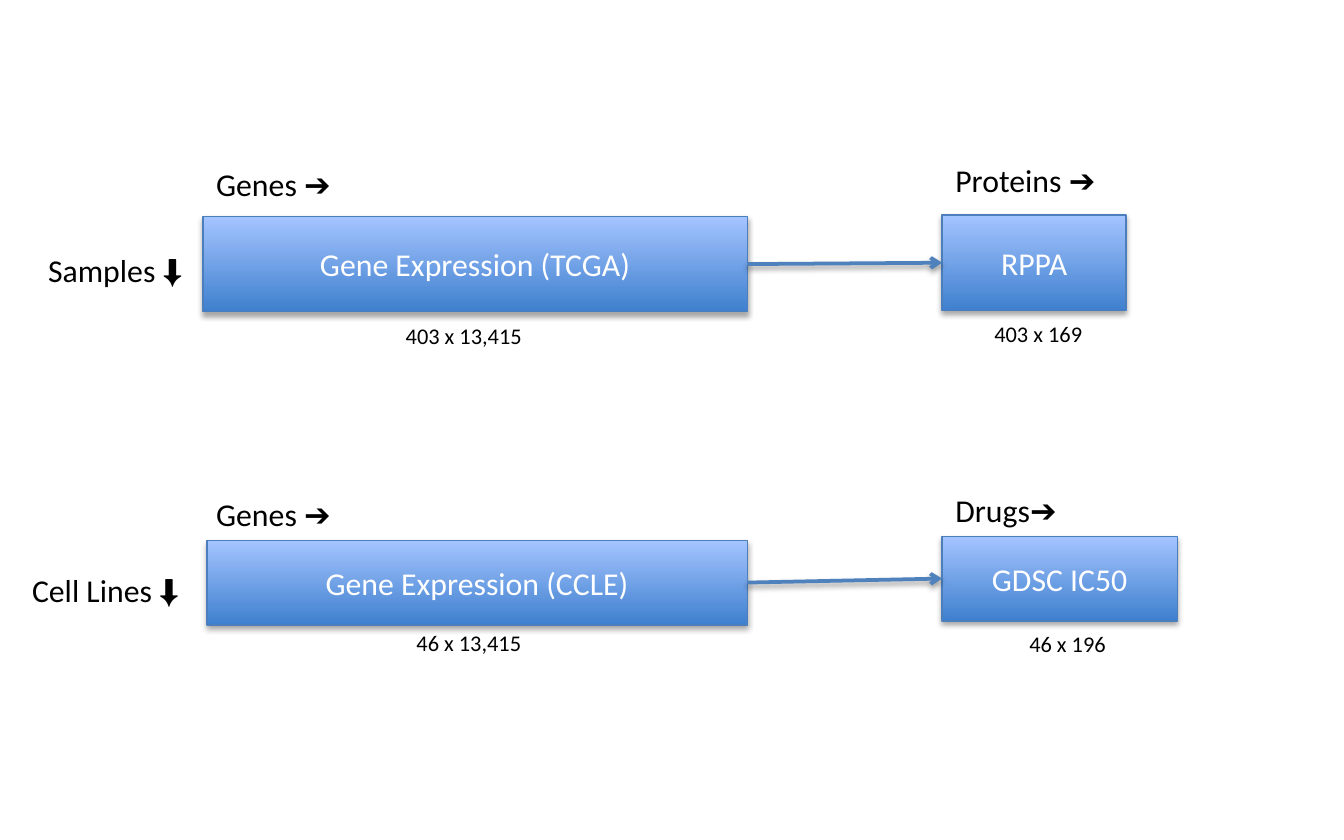
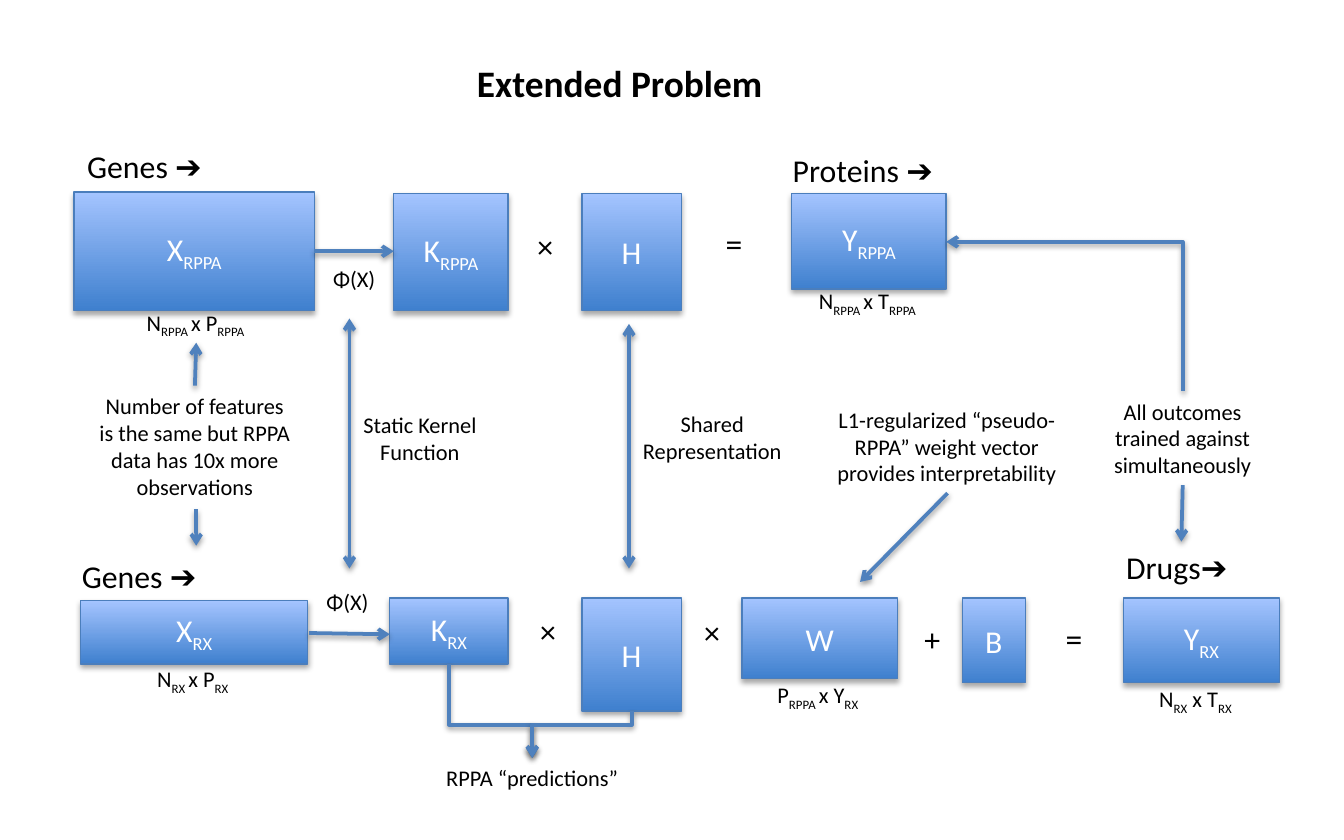
from itertools import groupby

from lxml import etree
from pptx import Presentation
from pptx.dml.color import RGBColor
from pptx.enum.shapes import MSO_CONNECTOR, MSO_SHAPE
from pptx.enum.text import MSO_ANCHOR, MSO_AUTO_SIZE, PP_ALIGN
from pptx.oxml.ns import qn
from pptx.util import Inches, Pt

BLACK = RGBColor(0x00, 0x00, 0x00)
WHITE = RGBColor(0xFF, 0xFF, 0xFF)
BOX_DARK = RGBColor(0x3F, 0x80, 0xCE)
BOX_LIGHT = RGBColor(0xA4, 0xC4, 0xFF)
BOX_LINE = RGBColor(0x4B, 0x7E, 0xBC)
ARROW_BLUE = RGBColor(0x4F, 0x81, 0xBD)
BODY_FONT, SYMBOL_FONT = "Calibri", "Arial"
SYMBOLS = "\u2794\u2b07"
BODY, CAPTION = 17, 12
LABEL_HEIGHT, CAPTION_HEIGHT = 0.39, 0.3


def offset(region, x, y, width=0, height=0):
    """Return a box measured from the top left corner of a region."""
    return region[0] + x, region[1] + y, width, height


def write_text(frame, text, size=BODY, color=BLACK, bold=False,
               align=PP_ALIGN.LEFT, anchor=MSO_ANCHOR.TOP, wrap=False):
    """Write one paragraph, with subscripts between tildes."""
    frame.word_wrap = wrap
    frame.vertical_anchor = anchor
    paragraph = frame.paragraphs[0]
    paragraph.alignment = align
    for index, part in enumerate(text.split("~")):
        for is_symbol, letters in groupby(part, lambda letter: letter in SYMBOLS):
            run = paragraph.add_run()
            run.text = "".join(letters)
            run.font.size = Pt(size)
            run.font.bold = bold
            run.font.color.rgb = color
            run.font.name = SYMBOL_FONT if is_symbol else BODY_FONT
            if index % 2:
                run.font._element.set("baseline", "-25000")


def add_label(slide, box, text, **text_format):
    """Add a text box that grows with its text."""
    label = slide.shapes.add_textbox(*map(Inches, box))
    write_text(label.text_frame, text, **text_format)
    label.text_frame.auto_size = MSO_AUTO_SIZE.SHAPE_TO_FIT_TEXT


def add_note(slide, box, text):
    """Add a centred, wrapped remark."""
    add_label(slide, box, text, size=CAPTION, align=PP_ALIGN.CENTER, wrap=True)


def add_shadow(shape, distance, opacity):
    """Give a shape a soft shadow below it."""
    properties = shape._element.spPr
    effects = properties.find(qn("a:effectLst"))
    if effects is None:
        effects = etree.SubElement(properties, qn("a:effectLst"))
    shadow = etree.SubElement(
        effects, qn("a:outerShdw"), blurRad=str(Pt(3.1)), dist=str(Pt(distance)),
        dir="5400000", rotWithShape="0")
    color = etree.SubElement(shadow, qn("a:srgbClr"), val=str(BLACK))
    etree.SubElement(color, qn("a:alpha"), val=str(opacity * 1000))


def add_matrix(slide, box, name, heading=None, caption=None,
               caption_align=PP_ALIGN.CENTER):
    """Draw a matrix; heading and caption are (text, x, y, width) from its corner."""
    matrix = slide.shapes.add_shape(MSO_SHAPE.RECTANGLE, *map(Inches, box))
    matrix.fill.gradient()
    matrix.fill.gradient_angle = 90
    for stop, color in zip(matrix.fill.gradient_stops, (BOX_DARK, BOX_LIGHT)):
        stop.color.rgb = color
    matrix.line.color.rgb = BOX_LINE
    matrix.line.width = Pt(0.75)
    matrix.shadow.inherit = False
    add_shadow(matrix, 1.8, 35)
    write_text(matrix.text_frame, name, color=WHITE, align=PP_ALIGN.CENTER,
               anchor=MSO_ANCHOR.MIDDLE, wrap=True)
    if heading:
        text, x, y, width = heading
        add_label(slide, offset(box, x, y, width, LABEL_HEIGHT), text)
    if caption:
        text, x, y, width = caption
        add_label(slide, offset(box, x, y, width, CAPTION_HEIGHT), text,
                  size=CAPTION, align=caption_align,
                  wrap=caption_align == PP_ALIGN.CENTER)


def style_arrow(arrow, both_ends=False):
    """Give a connector its line, arrowheads and shadow."""
    arrow.line.color.rgb = ARROW_BLUE
    arrow.line.width = Pt(2)
    line = arrow.line._get_or_add_ln()
    if both_ends:
        etree.SubElement(line, qn("a:headEnd"), type="arrow")
    etree.SubElement(line, qn("a:tailEnd"), type="arrow")
    add_shadow(arrow, 1.6, 38)


def add_arrow(slide, start, end, both_ends=False):
    """Draw a straight arrow between two points."""
    arrow = slide.shapes.add_connector(
        MSO_CONNECTOR.STRAIGHT, *map(Inches, (*start[:2], *end[:2])))
    style_arrow(arrow, both_ends)


def add_bent_arrow(slide, start, end, bend=None):
    """Draw an elbow that leaves vertically, with one corner or a bend ratio."""
    (x1, y1), (x2, y2) = start[:2], end[:2]
    down, right = y2 > y1, x2 > x1
    flip_x, flip_y = down and right, not down and not right
    half_width, half_height = abs(y2 - y1) / 2, abs(x2 - x1) / 2
    center_x, center_y = (x1 + x2) / 2, (y1 + y2) / 2
    xs = (center_x - half_width, center_x + half_width)
    ys = (center_y - half_height, center_y + half_height)
    arrow = slide.shapes.add_connector(
        MSO_CONNECTOR.ELBOW, *map(Inches, (xs[flip_x], ys[flip_y],
                                           xs[not flip_x], ys[not flip_y])))
    properties = arrow._element.spPr
    turn = 90 if down and not right else 270
    properties.find(qn("a:xfrm")).set("rot", str(turn * 60000))
    geometry = properties.find(qn("a:prstGeom"))
    if bend is None:
        geometry.set("prst", "bentConnector2")
    else:
        guides = geometry.find(qn("a:avLst"))
        if guides is None:
            guides = etree.SubElement(geometry, qn("a:avLst"))
        etree.SubElement(guides, qn("a:gd"), name="adj1",
                         fmla=f"val {round(bend * 100000)}")
    style_arrow(arrow)


def draw_data_pair(slide, source_box, source, target_box, target, rows):
    """Draw an input matrix, its output matrix and the arrow between them."""
    for box, parts in ((source_box, source), (target_box, target)):
        add_matrix(slide, box, *parts, caption_align=PP_ALIGN.LEFT)
    text, x, y, width = rows
    add_label(slide, offset(source_box, x, y, width, LABEL_HEIGHT), text)
    left, top, width, height = source_box
    add_arrow(slide, (left + width, top + height / 2),
              (target_box[0], target_box[1] + target_box[3] / 2))


def draw_operators(slide, region, operators):
    """Write the signs between the matrices of an equation."""
    for sign, x, y in operators:
        add_label(slide, offset(region, x, y, 0.32, LABEL_HEIGHT), sign,
                  size=18 if sign == "=" else BODY)


def draw_protein_equation(slide, region):
    """Draw the upper equation, which yields the proteins."""
    add_matrix(slide, offset(region, 0, 0, 1.79, 0.88), "X~RPPA~",
               ("Genes ➔", 0, -0.39, 1.12),
               ("N~RPPA ~x P~RPPA~", 0.25, 0.82, 1.31))
    add_matrix(slide, offset(region, 2.38, 0.01, 0.85, 0.87), "K~RPPA~")
    add_matrix(slide, offset(region, 3.78, 0.01, 0.74, 0.87), "H")
    add_matrix(slide, offset(region, 5.34, 0.01, 1.15, 0.71), "Y~RPPA~",
               ("Proteins ➔", -0.09, -0.37, 1.31),
               ("N~RPPA ~x T~RPPA~", -0.09, 0.65, 1.31))
    add_arrow(slide, offset(region, 1.79, 0.44), offset(region, 2.38, 0.44))
    add_label(slide, offset(region, 1.83, 0.49, 0.52, CAPTION_HEIGHT), "Φ(X)",
              size=CAPTION)
    draw_operators(slide, region, [("×", 3.35, 0.21), ("=", 4.75, 0.18)])


def draw_drug_equation(slide, region):
    """Draw the lower equation, which yields the drugs."""
    add_matrix(slide, offset(region, 0, 0.02, 1.69, 0.47), "X~RX~",
               ("Genes ➔", -0.09, -0.38, 1.12),
               ("N~RX ~x P~RX~", 0.18, 0.43, 1.31))
    add_matrix(slide, offset(region, 2.3, 0, 0.88, 0.49), "K~RX~")
    add_matrix(slide, offset(region, 3.73, 0, 0.74, 0.84), "H")
    add_matrix(slide, offset(region, 4.92, 0, 1.16, 0.6), "W",
               caption=("P~RPPA ~x Y~RX~", -0.09, 0.57, 1.31))
    add_matrix(slide, offset(region, 6.56, 0, 0.47, 0.63), "B")
    add_matrix(slide, offset(region, 7.76, 0, 1.16, 0.63), "Y~RX~",
               ("Drugs➔", -0.08, -0.42, 1.02),
               ("N~RX~ x T~RX~", -0.12, 0.6, 1.31))
    add_arrow(slide, offset(region, 1.7, 0.26), offset(region, 2.3, 0.27))
    add_label(slide, offset(region, 1.73, -0.12, 0.52, CAPTION_HEIGHT), "Φ(X)",
              size=CAPTION)
    draw_operators(slide, region, [("×", 3.32, 0.05), ("×", 4.54, 0.06),
                                   ("+", 6.18, 0.11), ("=", 7.23, 0.1)])
    prediction = offset(region, 3.36, 1.19)
    add_bent_arrow(slide, offset(region, 2.74, 0.49), prediction, 0.646)
    add_bent_arrow(slide, offset(region, 4.1, 0.84), prediction, 0.294)
    add_note(slide, offset(region, 2.25, 1.19, 2.22, CAPTION_HEIGHT),
             "RPPA “predictions”")


def draw_remarks(slide, region):
    """Write the remarks between the equations and point them at their parts."""
    remarks = [
        ("Number of features is the same but RPPA data has 10x more observations",
         0, 0.5, 1.64, 0.91),
        ("Static Kernel Function", 1.88, 0.64, 1.23, 0.5),
        ("Shared Representation", 3.92, 0.63, 1.5, 0.5),
        ("L1-regularized “pseudo-RPPA” weight vector provides interpretability",
         5.42, 0.6, 1.99, 0.71),
        ("All outcomes trained against simultaneously", 7.42, 0.54, 1.5, 0.71),
    ]
    for text, *place in remarks:
        add_note(slide, offset(region, *place), text)
    arrows = [
        (0.82, 0.5, 0.83, 0.18, False),
        (0.83, 1.42, 0.83, 1.69, False),
        (1.97, 0, 1.97, 1.86, True),
        (4.05, 0.04, 4.05, 1.86, True),
        (6.42, 1.3, 5.77, 1.96, False),
        (8.17, 1.24, 8.16, 1.66, False),
    ]
    for x1, y1, x2, y2, both_ends in arrows:
        add_arrow(slide, offset(region, x1, y1), offset(region, x2, y2), both_ends)
    add_bent_arrow(slide, offset(region, 8.17, 0.54), offset(region, 6.41, -0.57))


def build_data_slide(slide):
    """Show the two data sets, one above the other."""
    draw_data_pair(
        slide,
        (1.51, 1.61, 4.05, 0.71),
        ("Gene Expression (TCGA)", ("Genes ➔", 0, -0.43, 1.12),
         ("403 x 13,415", 1.41, 0.74, 1.08)),
        (7.01, 1.6, 1.37, 0.71),
        ("RPPA", ("Proteins ➔", 0, -0.45, 1.31), ("403 x 169", 0.29, 0.73, 0.86)),
        ("Samples ⬇", -1.25, 0.21, 1.27))
    draw_data_pair(
        slide,
        (1.54, 4.02, 4.02, 0.63),
        ("Gene Expression (CCLE)", ("Genes ➔", -0.03, -0.39, 1.12),
         ("46 x 13,415", 1.46, 0.61, 0.99)),
        (7.01, 3.99, 1.75, 0.63),
        ("GDSC IC50", ("Drugs➔", 0, -0.39, 1.02), ("46 x 196", 0.55, 0.65, 0.78)),
        ("Cell Lines ⬇", -1.4, 0.18, 1.37))


def build_problem_slide(slide):
    """Show the two linked equations with their remarks."""
    add_label(slide, (3.45, 0.4, 2.35, 0.44), "Extended Problem", size=20, bold=True)
    draw_protein_equation(slide, (0.55, 1.43))
    draw_drug_equation(slide, (0.6, 4.45))
    draw_remarks(slide, (0.63, 2.37))


def main():
    """Build and save the deck."""
    deck = Presentation()
    deck.slide_width, deck.slide_height = Inches(10), Inches(6.25)
    for build in (build_data_slide, build_problem_slide):
        build(deck.slides.add_slide(deck.slide_layouts[6]))
    deck.save("out.pptx")


main()
